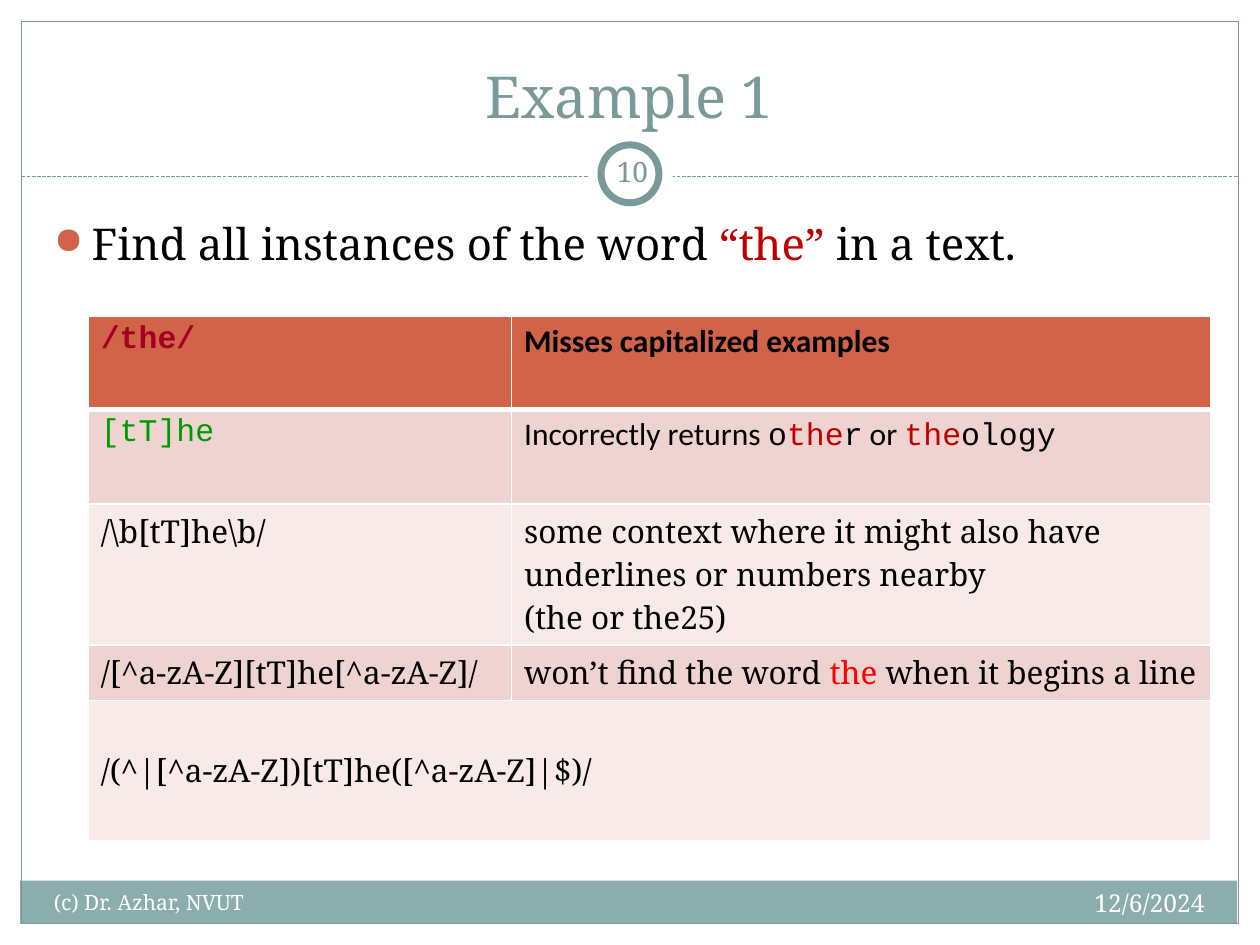
from lxml import etree
from pptx import Presentation
from pptx import util as u
from pptx.dml.color import RGBColor
from pptx.enum import dml, shapes, text
from pptx.oxml.ns import qn

THEME = {
    "white": "FFFFFF", "black": "000000", "teal": "7C999A", "band": "8CADAE",
    "orange": "D16349", "pink": "EED3D0", "pale": "F7EAE9", "crimson": "A50021",
    "dark red": "C00000", "red": "FF0000", "green": "009900",
    "serif": "Noto Serif", "sans": "Calibri", "mono": "Courier New",
    "title": 33, "body": 25, "cell": 18, "number": 16, "date": 14, "footer": 12,
}

# A span is (text, colour, face, bold); later items may be left out.
LEAD = [("Find all instances of the word ",), ("“the” ", "dark red"), ("in a text.",)]
ROWS = [  # height, fill, cells; a cell is a list of paragraphs
    (0.74, "orange", [
        [[("/the/", "crimson", "mono", True)]],
        [[("Misses capitalized examples", "black", "sans", True)]]]),
    (0.75, "pink", [
        [[("[tT]he", "green", "mono")]],
        [[("Incorrectly returns ", "black", "sans"), ("o", "black", "mono"),
          ("the", "dark red", "mono"), ("r", "black", "mono"),
          (" or ", "black", "sans"), ("the", "dark red", "mono"),
          ("ology", "black", "mono")]]]),
    (1.12, "pale", [
        [[(r"/\b[tT]he\b/",)]],
        [[("some context where it might also have underlines or numbers nearby",)],
         [("(the or the25)",)]]]),
    (0.44, "pink", [
        [[("/[^a-zA-Z][tT]he[^a-zA-Z]/",)]],
        [[("won’t find the word ",), ("the", "red"), (" when it begins a line",)]]]),
    (1.11, "pale", [[[("/(^|[^a-zA-Z])[tT]he([^a-zA-Z]|$)/",)]]]),
]
COLUMNS = (3.36, 5.55)
TABLE_AT = (0.7, 2.51)
LABELS = [  # place, text, colour, size, frame format, alignment
    ((0.33, 0.25, 9.33, 0.83), "Example 1", "teal", "title",
     {"vertical_anchor": text.MSO_ANCHOR.BOTTOM}, text.PP_ALIGN.CENTER),
    ((4.77, 1.12, 0.5, 0.48), "10", "teal", "number",
     {"vertical_anchor": text.MSO_ANCHOR.MIDDLE, "margin_left": u.Inches(0.05),
      "margin_right": u.Inches(0.05)}, text.PP_ALIGN.CENTER),
    ((0.33, 7.01, 3.92, 0.4), "(c) Dr. Azhar, NVUT", "white", "footer",
     {}, text.PP_ALIGN.LEFT),
    ((6.33, 7, 3.33, 0.4), "12/6/2024", "white", "date", {}, text.PP_ALIGN.RIGHT),
]


def color(name):
    return RGBColor.from_string(THEME[name])


def inches(values):
    return [u.Inches(value) for value in values]


def set_all(target, values):
    for name, value in values.items():
        setattr(target, name, value)


def write(para, spans, size):
    for words, tint, face, bold in ((*span, *("black", "serif", False)[len(span) - 1:])
                                    for span in spans):
        span = para.add_run()
        span.text = words
        set_all(span.font, {"size": u.Pt(THEME[size]), "name": THEME[face], "bold": bold})
        span.font.color.rgb = color(tint)


def add_text(page, place, spans, size, frame_format, align):
    frame = page.shapes.add_textbox(*inches(place)).text_frame
    set_all(frame, {"word_wrap": True, **frame_format})
    para = frame.paragraphs[0]
    para.alignment = align
    write(para, spans, size)
    return para


def add_figure(page, kind, place, fill=None, line=None, width=0.75):
    figure = page.shapes.add_shape(kind, *inches(place))
    figure.shadow.inherit = False
    for part, tint in ((figure.fill, fill), (figure.line.fill, line)):
        if tint:
            part.solid()
            part.fore_color.rgb = color(tint)
        else:
            part.background()
    if line:
        figure.line.width = u.Pt(width)


def add_bullet(para):
    props = para._p.get_or_add_pPr()
    set_all_xml = {"marL": str(u.Inches(0.3)), "indent": str(-u.Inches(0.3))}
    for name, value in set_all_xml.items():
        props.set(name, value)
    tint = etree.SubElement(props, qn("a:buClr"))
    etree.SubElement(tint, qn("a:srgbClr"), val=THEME["orange"])
    etree.SubElement(props, qn("a:buSzPct"), val="85000")
    etree.SubElement(props, qn("a:buChar"), char="●")


def add_borders(cell, bottom):
    props = cell._tc.get_or_add_tcPr()
    for side, width in (("L", 1), ("R", 1), ("T", 1), ("B", bottom)):
        line = etree.SubElement(props, qn(f"a:ln{side}"), w=str(u.Pt(width)))
        fill = etree.SubElement(line, qn("a:solidFill"))
        etree.SubElement(fill, qn("a:srgbClr"), val=THEME["white"])


def draw_frame(page):
    rect, oval = shapes.MSO_SHAPE.RECTANGLE, shapes.MSO_SHAPE.OVAL
    add_figure(page, rect, (0.16, 6.99, 9.66, 0.34), "band")
    add_figure(page, rect, (0.17, 0.17, 9.66, 7.16), line="teal")
    rule = page.shapes.add_connector(shapes.MSO_CONNECTOR.STRAIGHT,
                                     *inches((0.17, 1.4, 9.83, 1.4)))
    set_all(rule.line, {"width": u.Pt(0.75), "dash_style": dml.MSO_LINE.SQUARE_DOT})
    rule.line.color.rgb = color("teal")
    etree.SubElement(rule._element.spPr, qn("a:effectLst"))
    add_figure(page, oval, (4.67, 1.05, 0.67, 0.67), "white")
    add_figure(page, oval, (4.77, 1.15, 0.46, 0.46), "white", "teal", 4)


def draw_table(page):
    size = (sum(COLUMNS), sum(row[0] for row in ROWS))
    table = page.shapes.add_table(len(ROWS), len(COLUMNS),
                                  *inches(TABLE_AT + size)).table
    for column, width in zip(table.columns, COLUMNS):
        column.width = u.Inches(width)
    for index, (height, fill, contents) in enumerate(ROWS):
        table.rows[index].height = u.Inches(height)
        cells = list(table.rows[index].cells)
        for cell in cells:
            add_borders(cell, bottom=1 if index else 3)
            cell.fill.solid()
            cell.fill.fore_color.rgb = color(fill)
        if len(contents) < len(cells):
            cells[0].merge(cells[-1])
            cells[0].vertical_anchor = text.MSO_ANCHOR.MIDDLE
        for cell, paras in zip(cells, contents):
            frame = cell.text_frame
            for number, spans in enumerate(paras):
                para = frame.add_paragraph() if number else frame.paragraphs[0]
                write(para, spans, "cell")


def main():
    deck = Presentation()
    set_all(deck, {"slide_width": u.Inches(10), "slide_height": u.Inches(7.5)})
    page = deck.slides.add_slide(deck.slide_layouts[6])
    draw_frame(page)
    for place, words, tint, size, frame_format, align in LABELS:
        add_text(page, place, [(words, tint)], size, frame_format, align)
    add_bullet(add_text(page, (0.33, 1.67, 9.3, 0.6), LEAD, "body", {},
                        text.PP_ALIGN.LEFT))
    draw_table(page)
    deck.save("out.pptx")


if __name__ == "__main__":
    main()
